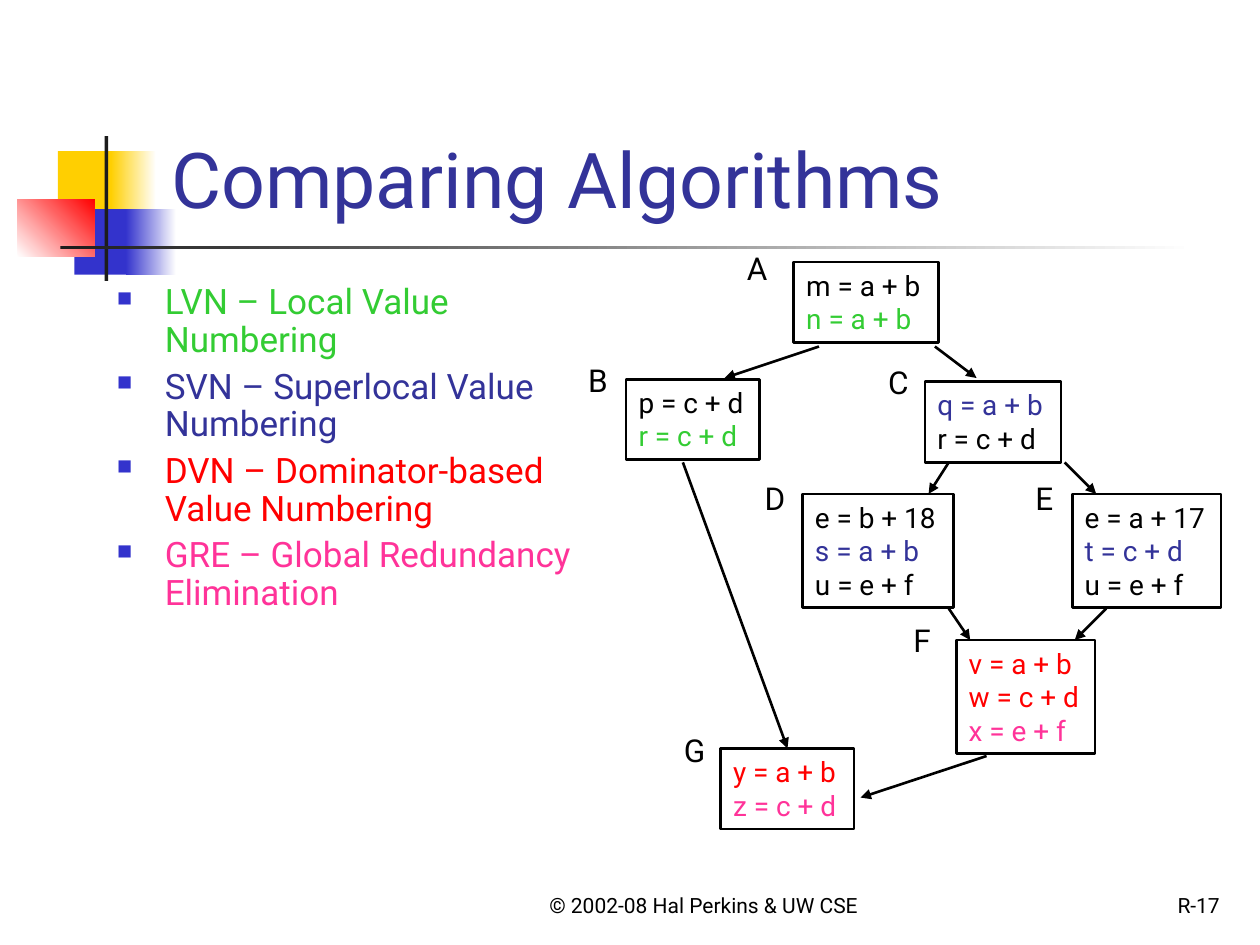
import pptx
import pptx.util
import pptx.dml.color
from pptx.enum.shapes import MSO_CONNECTOR, MSO_SHAPE
from pptx.enum.text import MSO_ANCHOR, MSO_AUTO_SIZE, PP_ALIGN
from pptx.oxml.ns import qn
from lxml import etree

W, H = 10, 7.5
FONT = "Roboto"
BLACK, NAVY, BLUE = "000000", "333399", "3333CC"
GREEN, RED, PINK = "33CC33", "FF0000", "FF3399"
WHITE, YELLOW, DARK = "FFFFFF", "FFCF01", "1C1C1C"

# Decoration: left, top, width, height, colours, gradient angle
DECORATION = [
    (0.46, 1.2, 0.48, 0.52, [YELLOW], 0),
    (0.88, 1.2, 0.36, 0.52, [YELLOW, WHITE], 0),
    (0.59, 1.66, 0.46, 0.52, [BLUE], 0),
    (1, 1.66, 0.4, 0.52, [BLUE, WHITE], 0),
    (0.14, 1.58, 0.61, 0.46, [WHITE, RED], 45),
    (0.83, 1.08, 0.03, 1.15, [DARK], 0),
    (0.48, 1.95, 9, 0.03, [DARK, WHITE], 0),
]

# Basic blocks: box left, top, width; label left, top; coloured code lines
BLOCKS = {
    "A": (6.3, 2.08, 1.15, 5.83, 1.93, [("m = a + b", BLACK), ("n = a + b", GREEN)]),
    "B": (4.97, 3.01, 1.06, 4.57, 2.82, [("p = c + d", BLACK), ("r = c + d", GREEN)]),
    "C": (7.34, 3.03, 1.08, 6.95, 2.83, [("q = a + b", NAVY), ("r = c + d", BLACK)]),
    "D": (6.37, 3.92, 1.2, 5.97, 3.75,
          [("e = b + 18", BLACK), ("s = a + b", NAVY), ("u = e + f", BLACK)]),
    "E": (8.51, 3.92, 1.18, 8.12, 3.75,
          [("e = a + 17", BLACK), ("t = c + d", NAVY), ("u = e + f", BLACK)]),
    "F": (7.59, 5.08, 1.1, 7.15, 4.88,
          [("v = a + b", RED), ("w = c + d", RED), ("x = e + f", PINK)]),
    "G": (5.72, 5.94, 1.06, 5.33, 5.75, [("y = a + b", RED), ("z = c + d", PINK)]),
}

# Control flow edges: x1, y1, x2, y2
EDGES = [
    (7.83, 6, 6.83, 6.33),
    (7.53, 3.67, 7.37, 3.92),
    (8.45, 3.67, 8.7, 3.92),
    (8.78, 4.83, 8.53, 5.08),
    (7.53, 4.83, 7.7, 5.08),
    (7.42, 2.75, 7.75, 3),
    (6.5, 2.75, 5.75, 3),
]

BULLETS = [
    ("LVN – Local Value Numbering", GREEN),
    ("SVN – Superlocal Value Numbering", NAVY),
    ("DVN – Dominator-based Value Numbering", RED),
    ("GRE – Global Redundancy Elimination", PINK),
]


def rgb(value):
    return pptx.dml.color.RGBColor.from_string(value)


def inches(*values):
    return [pptx.util.Inches(v) for v in values]


def add_bullet(p):
    pPr = p._p.get_or_add_pPr()
    indent = pptx.util.Inches(0.38)
    pPr.set("marL", str(indent))
    pPr.set("indent", str(-indent))
    color = etree.SubElement(pPr, qn("a:buClr"))
    etree.SubElement(color, qn("a:srgbClr"), val=BLUE)
    etree.SubElement(pPr, qn("a:buSzPct"), val="60000")
    etree.SubElement(pPr, qn("a:buChar"), char="■")


def write(sp, lines, size, align=PP_ALIGN.LEFT, anchor=MSO_ANCHOR.TOP,
          wrap=True, bullets=False):
    """Fill a shape with (text, colour) paragraphs."""
    tf = sp.text_frame
    tf.word_wrap = wrap
    tf.auto_size = MSO_AUTO_SIZE.NONE if wrap else MSO_AUTO_SIZE.SHAPE_TO_FIT_TEXT
    tf.vertical_anchor = anchor
    tf.margin_left, tf.margin_top, tf.margin_right, tf.margin_bottom = inches(
        0.1, 0.05, 0.1, 0.05)
    for i, (text, color) in enumerate(lines):
        p = tf.add_paragraph() if i else tf.paragraphs[0]
        p.alignment = align
        if bullets:
            add_bullet(p)
            p.line_spacing = 0.9
            p.space_before = pptx.util.Pt(5 if i else 0)
        r = p.add_run()
        r.text = text
        r.font.name = FONT
        r.font.size = pptx.util.Pt(size)
        r.font.color.rgb = rgb(color)


def add_text(s, x, y, w, h, lines, size, **options):
    write(s.shapes.add_textbox(*inches(x, y, w, h)), lines, size, **options)


def add_rect(s, x, y, w, h):
    sp = s.shapes.add_shape(MSO_SHAPE.RECTANGLE, *inches(x, y, w, h))
    sp.shadow.inherit = False
    return sp


def add_decoration(s, x, y, w, h, colors, angle):
    sp = add_rect(s, x, y, w, h)
    sp.line.fill.background()
    if len(colors) == 1:
        sp.fill.solid()
        sp.fill.fore_color.rgb = rgb(colors[0])
        return
    sp.fill.gradient()
    sp.fill.gradient_angle = angle
    for stop, color, position in zip(sp.fill.gradient_stops, colors, (0, 1)):
        stop.color.rgb = rgb(color)
        stop.position = position


def add_block(s, name, x, y, w, label_x, label_y, lines):
    sp = add_rect(s, x, y, w, 0.64 if len(lines) == 2 else 0.9)
    sp.fill.background()
    sp.line.color.rgb = rgb(BLACK)
    sp.line.width = pptx.util.Pt(1.5)
    write(sp, lines, 16, wrap=False)
    add_text(s, label_x, label_y, 0.36, 0.4, [(name, BLACK)], 18, wrap=False)
    return sp


def add_arrow(s, x1, y1, x2, y2):
    c = s.shapes.add_connector(MSO_CONNECTOR.STRAIGHT, *inches(x1, y1, x2, y2))
    c.line.color.rgb = rgb(BLACK)
    c.line.width = pptx.util.Pt(1.5)
    etree.SubElement(c.line._get_or_add_ln(), qn("a:tailEnd"), type="triangle")
    etree.SubElement(c._element.spPr, qn("a:effectLst"))
    return c


def main():
    prs = pptx.Presentation()
    prs.slide_width, prs.slide_height = inches(W, H)
    s = prs.slides.add_slide(prs.slide_layouts[5])

    for part in DECORATION:
        add_decoration(s, *part)

    # Title
    title = s.shapes.title
    title.left, title.top, title.width, title.height = inches(1.26, 0.23, 8.52, 1.6)
    write(title, [("Comparing Algorithms", NAVY)], 44, anchor=MSO_ANCHOR.BOTTOM)

    # Flow graph
    blocks = {name: add_block(s, name, *block) for name, block in BLOCKS.items()}
    for edge in EDGES:
        add_arrow(s, *edge)
    add_arrow(s, 5.42, 3.67, 6.25, 5.94).end_connect(blocks["G"], 0)

    # Algorithm list
    add_text(s, 0.83, 2.21, 3.83, 4.5, BULLETS, 20, bullets=True)

    # Footer
    add_text(s, 4, 6.83, 3.17, 0.5, [("© 2002-08 Hal Perkins & UW CSE", BLACK)], 12,
             align=PP_ALIGN.CENTER, anchor=MSO_ANCHOR.BOTTOM)
    add_text(s, 7.7, 6.83, 2.08, 0.5, [("R-17", BLACK)], 12,
             align=PP_ALIGN.RIGHT, anchor=MSO_ANCHOR.BOTTOM)

    prs.save("out.pptx")


if __name__ == "__main__":
    main()
